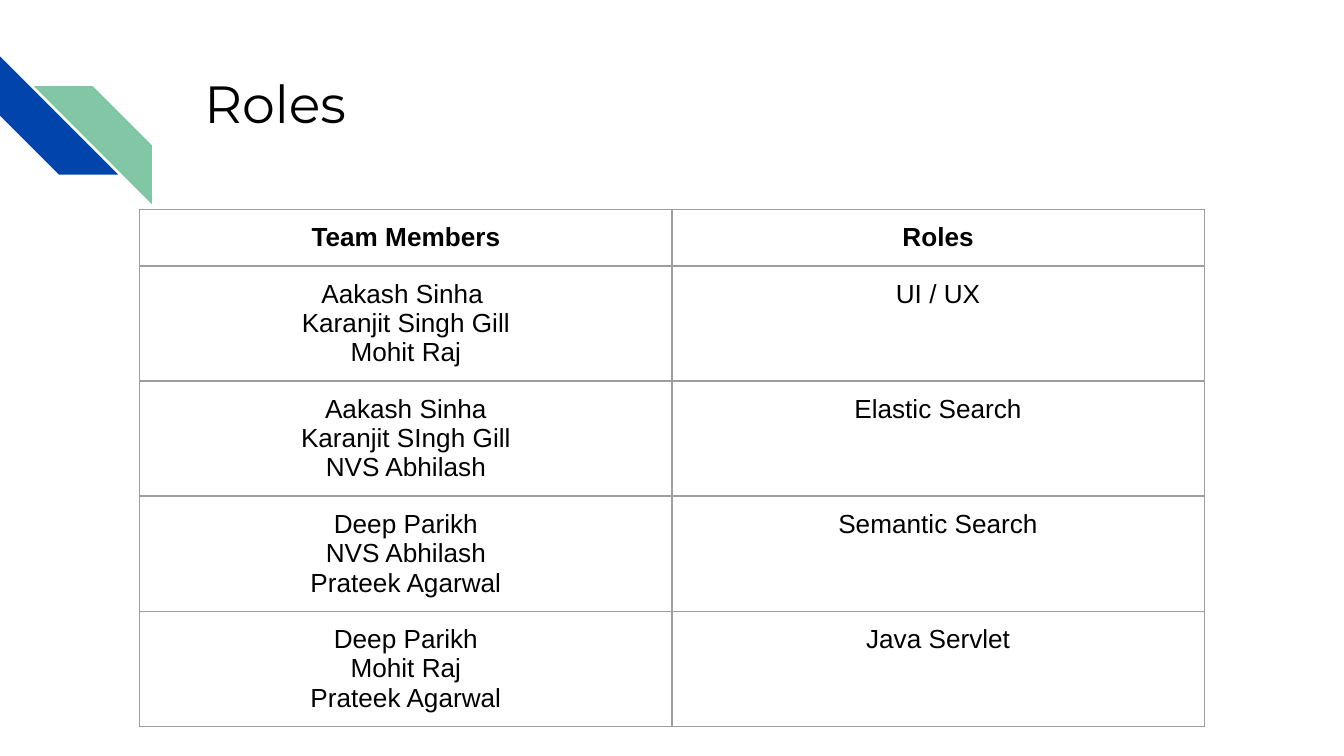
from lxml.etree import SubElement
from pptx import Presentation
from pptx.dml.color import RGBColor
from pptx.enum.shapes import MSO_SHAPE
from pptx.enum.text import MSO_ANCHOR, MSO_AUTO_SIZE, PP_ALIGN
from pptx.oxml.ns import qn
from pptx.util import Inches, Pt

COLORS = {"text": "000000", "blue": "0145AC", "green": "82C7A5", "line": "9E9E9E"}
PAD = 0.1
ROWS = [
    ("Team Members", "Roles"),
    ("Aakash Sinha \nKaranjit Singh Gill\nMohit Raj", "UI / UX"),
    ("Aakash Sinha\nKaranjit SIngh Gill\nNVS Abhilash", "Elastic Search"),
    ("Deep Parikh\nNVS Abhilash\nPrateek Agarwal", "Semantic Search"),
    ("Deep Parikh\nMohit Raj\nPrateek Agarwal", "Java Servlet"),
]


def color(name):
    return RGBColor.from_string(COLORS[name])


def style(para, font, size, align, bold=False):
    para.alignment = align
    para.font.name = font
    para.font.size = Pt(size)
    para.font.bold = bold
    para.font.color.rgb = color("text")


def pad(item):
    item.margin_left = item.margin_right = Inches(PAD)
    item.margin_top = item.margin_bottom = Inches(PAD)


def add_logo(slide, left, top, size):
    """Draw two stripes, the second one a step right and down."""
    for name, dx, dy, turn in (("blue", 0, 0, 270), ("green", 0.25, 0.22, 90)):
        stripe = slide.shapes.add_shape(
            MSO_SHAPE.DIAGONAL_STRIPE, Inches(left + dx), Inches(top + dy),
            Inches(size), Inches(size))
        stripe.rotation = turn
        stripe.adjustments[0] = 0.5
        stripe.shadow.inherit = False
        stripe.fill.solid()
        stripe.fill.fore_color.rgb = color(name)
        stripe.line.fill.background()


def set_title(slide, text, left, top, width, height):
    title = slide.shapes.title
    title.left, title.top = Inches(left), Inches(top)
    title.width, title.height = Inches(width), Inches(height)
    frame = title.text_frame
    frame.text = text
    frame.auto_size = MSO_AUTO_SIZE.NONE
    frame.vertical_anchor = MSO_ANCHOR.TOP
    pad(frame)
    style(frame.paragraphs[0], "Montserrat", 28, PP_ALIGN.LEFT)


def set_border(cell):
    props = cell._tc.get_or_add_tcPr()
    for i, side in enumerate(("a:lnL", "a:lnR", "a:lnT", "a:lnB")):
        line = SubElement(props, qn(side), w=str(Pt(0.75)))
        fill = SubElement(line, qn("a:solidFill"))
        SubElement(fill, qn("a:srgbClr"), val=COLORS["line"])
        props.insert(i, line)


def add_roles(slide, left, top, width, row_height):
    cols = len(ROWS[0])
    table = slide.shapes.add_table(
        len(ROWS), cols, Inches(left), Inches(top),
        Inches(width), Inches(row_height * len(ROWS))).table
    table.first_row = table.horz_banding = False
    for r, texts in enumerate(ROWS):
        for c, text in enumerate(texts):
            cell = table.cell(r, c)
            cell.text = text
            cell.fill.background()
            cell.vertical_anchor = MSO_ANCHOR.TOP
            pad(cell)
            set_border(cell)
            for para in cell.text_frame.paragraphs:
                style(para, "Arial", 14, PP_ALIGN.CENTER, bold=r == 0)


def main():
    deck = Presentation()
    deck.slide_width = Inches(10)
    deck.slide_height = deck.slide_width * 9 // 16
    slide = deck.slides.add_slide(deck.slide_layouts[5])
    add_logo(slide, 0, 0.42, 0.88)
    set_title(slide, "Roles", 1.42, 0.43, 7.7, 1)
    add_roles(slide, 1.04, 1.56, 7.92, 0.42)
    deck.save("out.pptx")


if __name__ == "__main__":
    main()
